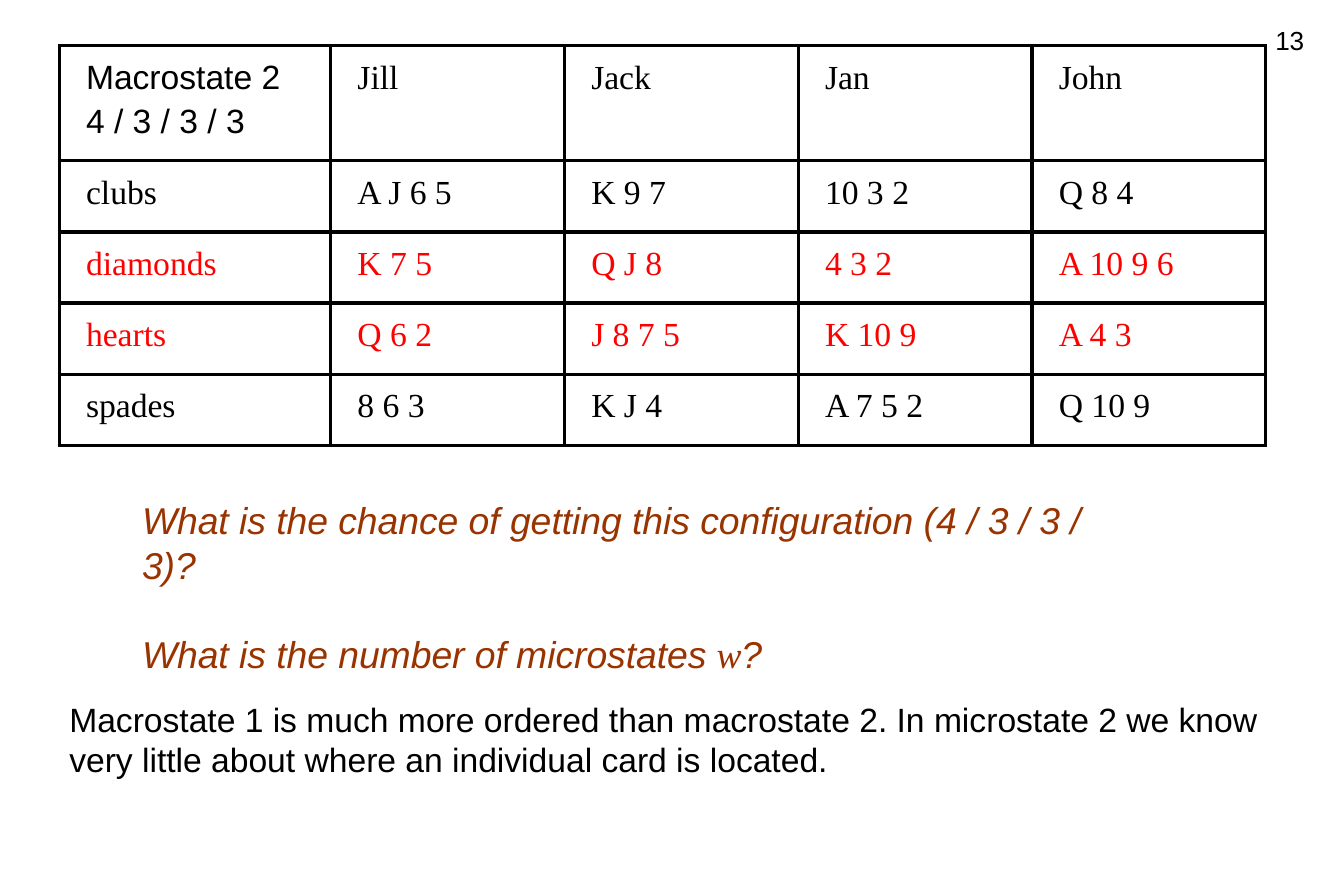
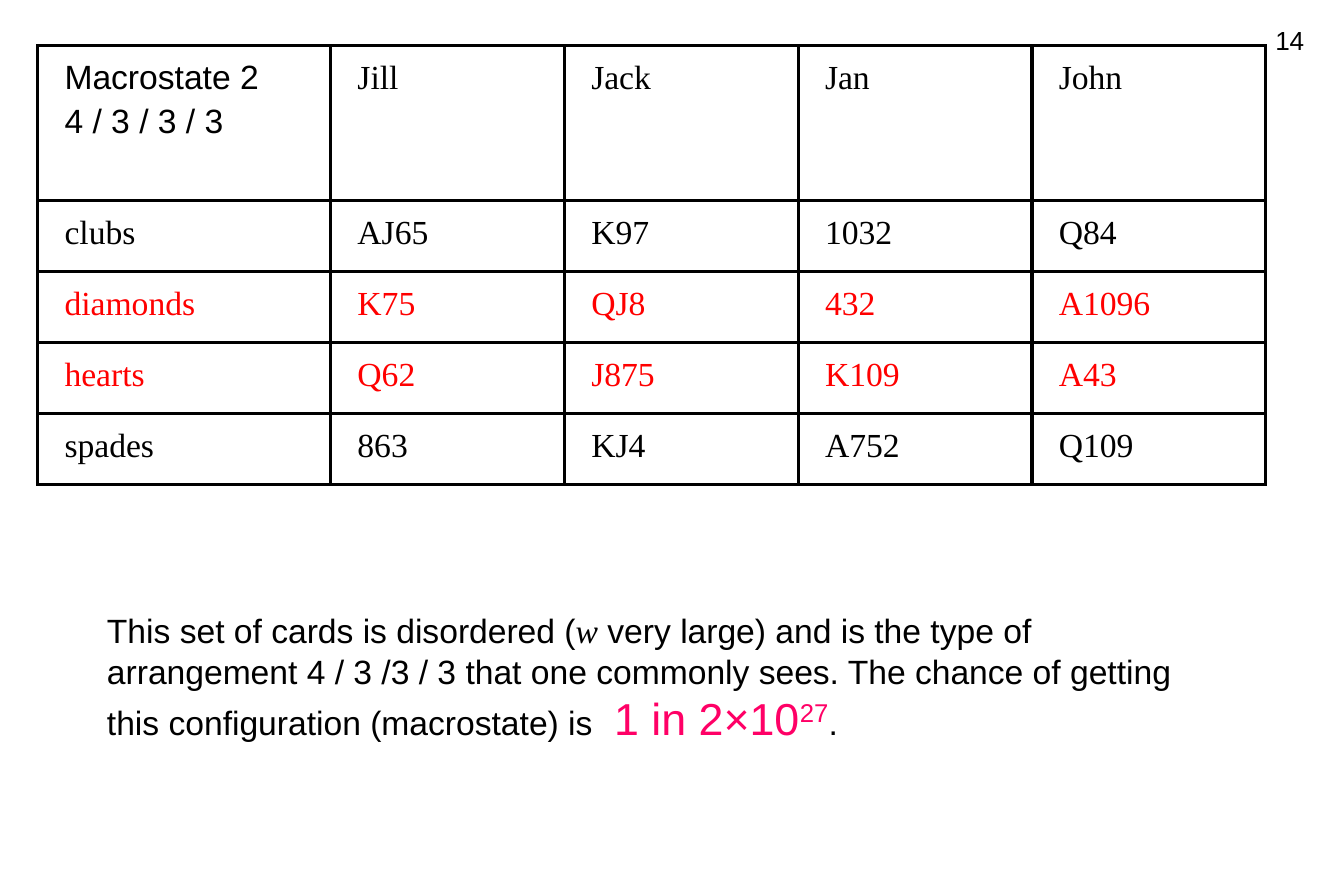
from dataclasses import dataclass
from typing import NamedTuple

from lxml import etree
from pptx import Presentation
from pptx import util as u
from pptx.dml.color import RGBColor
from pptx.enum import text
from pptx.oxml.ns import qn

SLIDE_W, SLIDE_H = u.Pt(360), u.Pt(240.12)
SANS, SERIF = "Arial", "Times New Roman"
BLACK, RED, BROWN, PINK = "000000", "FF0000", "993300", "FF0066"
RED_SUITS = ("diamonds", "hearts")
PLAYERS = ("Jill", "Jack", "Jan", "John")
HANDS = {
    "clubs": ("A J 6 5", "K 9 7", "10 3 2", "Q 8 4"),
    "diamonds": ("K 7 5", "Q J 8", "4 3 2", "A 10 9 6"),
    "hearts": ("Q 6 2", "J 8 7 5", "K 10 9", "A 4 3"),
    "spades": ("8 6 3", "K J 4", "A 7 5 2", "Q 10 9"),
}
# Shares of the slide, in percent
TABLE_TOP, TABLE_RIGHT = 5.09, 94.2
PLAYER_COL, SUIT_ROW = 17.4, 7.94


class Box(NamedTuple):
    """Left, top, width and height in percent of the slide."""
    left: float
    top: float
    width: float
    height: float


@dataclass
class Run:
    words: str
    size: float = 9
    font: str = SANS
    color: str = BLACK
    italic: bool = False
    superscript: bool = False


@dataclass
class DealTable:
    left: float
    header_row: float
    spaced: bool


def across(percent: float) -> int:
    return round(SLIDE_W * percent / 100)


def down(percent: float) -> int:
    return round(SLIDE_H * percent / 100)


def rgb(color: str) -> RGBColor:
    return RGBColor.from_string(color)


def write(frame, *paragraphs: list[Run], gap: float = 0, align=text.PP_ALIGN.LEFT) -> None:
    """Fill a text frame; gap is the space between paragraphs in points."""
    for index, runs in enumerate(paragraphs):
        paragraph = frame.add_paragraph() if index else frame.paragraphs[0]
        paragraph.alignment = align
        if index:
            paragraph.space_before = u.Pt(gap)
        for part in runs:
            run = paragraph.add_run()
            run.text = part.words
            run.font.size = u.Pt(part.size)
            run.font.name = part.font
            run.font.italic = part.italic
            run.font.color.rgb = rgb(part.color)
            if part.superscript:
                run.font._element.set("baseline", "30000")


def add_text(slide, box: Box, *paragraphs: list[Run], anchor=text.MSO_ANCHOR.TOP, **layout) -> None:
    frame = slide.shapes.add_textbox(across(box.left), down(box.top),
                                     across(box.width), down(box.height)).text_frame
    frame.word_wrap = True
    frame.vertical_anchor = anchor
    write(frame, *paragraphs, **layout)


def add_page_number(slide, number: int) -> None:
    add_text(slide, Box(74.6, 1.2, 24.4, 6.9), [Run(str(number), size=7)],
             align=text.PP_ALIGN.RIGHT)


def outline_cell(cell) -> None:
    """Clear the fill and draw a 1 pt black border on all four sides."""
    properties = cell._tc.get_or_add_tcPr()
    for side in ("lnL", "lnR", "lnT", "lnB"):
        line = etree.SubElement(properties, qn(f"a:{side}"), w=str(u.Pt(1)))
        fill = etree.SubElement(line, qn("a:solidFill"))
        etree.SubElement(fill, qn("a:srgbClr"), val=BLACK)
    cell.fill.background()


def add_deal_table(slide, deal: DealTable) -> None:
    row_heights = [deal.header_row] + [SUIT_ROW] * len(HANDS)
    width = TABLE_RIGHT - deal.left
    col_widths = [width - PLAYER_COL * len(PLAYERS)] + [PLAYER_COL] * len(PLAYERS)
    table = slide.shapes.add_table(len(row_heights), len(col_widths), across(deal.left),
                                   down(TABLE_TOP), across(width), down(sum(row_heights))).table
    table.first_row = table.horz_banding = False
    for column, share in zip(table.columns, col_widths):
        column.width = across(share)
    for row, share in zip(table.rows, row_heights):
        row.height = down(share)
    for cell in table.iter_cells():
        outline_cell(cell)

    write(table.cell(0, 0).text_frame, [Run("Macrostate 2")], [Run("4 / 3 / 3 / 3")], gap=1.8)
    for col, player in enumerate(PLAYERS, 1):
        write(table.cell(0, col).text_frame, [Run(player, font=SERIF)])
    for row, (suit, hands) in enumerate(HANDS.items(), 1):
        color = RED if suit in RED_SUITS else BLACK
        cards = hands if deal.spaced else [hand.replace(" ", "") for hand in hands]
        for col, words in enumerate((suit, *cards)):
            write(table.cell(row, col).text_frame, [Run(words, font=SERIF, color=color)])


def question(words: str, font: str = SANS) -> Run:
    return Run(words, size=10, font=font, color=BROWN, italic=True)


def build_question_slide(slide) -> None:
    add_page_number(slide, 13)
    add_deal_table(slide, DealTable(left=4.4, header_row=12.87, spaced=True))
    add_text(slide, Box(8.6, 53.97, 78.4, 18),
             [question("What is the chance of getting this configuration (4 / 3 / 3 / 3)?")],
             [question("What is the number of microstates "), question("w", SERIF), question("?")],
             gap=12)
    add_text(slide, Box(3.2, 76.5, 93.2, 12),
             [Run("Macrostate 1 is much more ordered than macrostate 2. In microstate 2 "
                  "we know very little about where an individual card is located.")])


def build_answer_slide(slide) -> None:
    add_page_number(slide, 14)
    add_deal_table(slide, DealTable(left=2.8, header_row=17.3, spaced=False))
    add_text(slide, Box(6, 66.6, 86.6, 18),
             [Run("This set of cards is disordered ("),
              Run("w", font=SERIF, italic=True),
              Run(" very large) and is the type of arrangement 4 / 3 /3 / 3 that one commonly "
                  "sees. The chance of getting this configuration (macrostate) is "),
              Run(" 1 in 2×10", size=12, color=PINK),
              Run("27", size=12, color=PINK, superscript=True),
              Run(".")],
             anchor=text.MSO_ANCHOR.MIDDLE)


def main() -> None:
    deck = Presentation()
    deck.slide_width, deck.slide_height = SLIDE_W, SLIDE_H
    deck.element.sldSz.attrib.pop("type", None)
    for build in (build_question_slide, build_answer_slide):
        build(deck.slides.add_slide(deck.slide_layouts[6]))
    deck.save("out.pptx")


if __name__ == "__main__":
    main()
